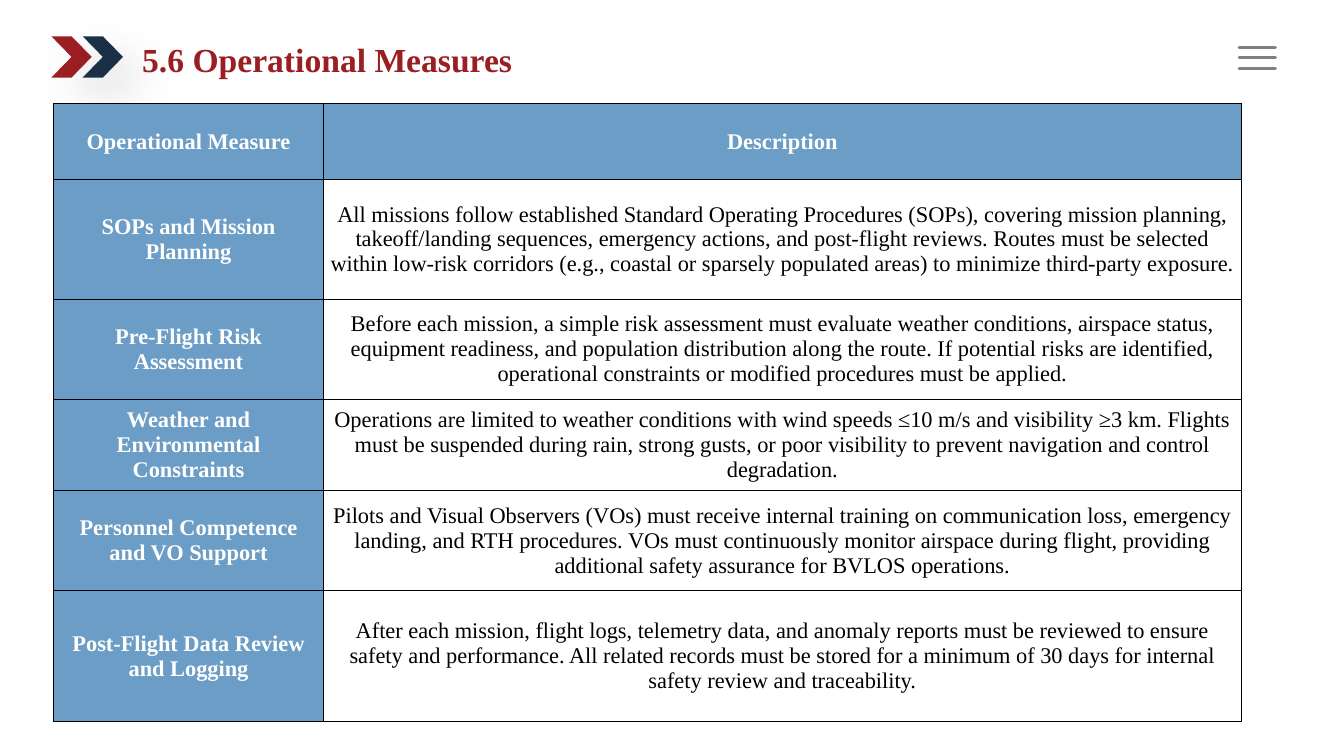
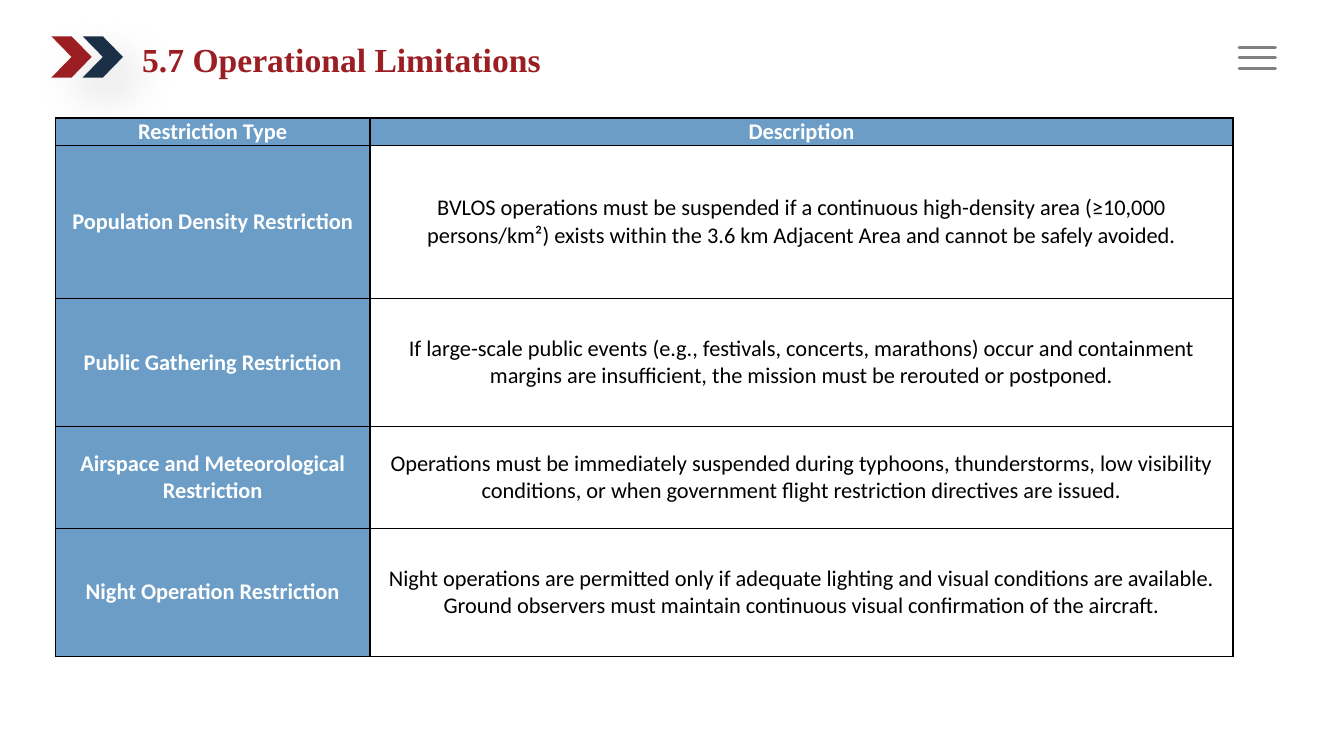
from dataclasses import dataclass

from lxml import etree
from pptx import Presentation
from pptx import util as u
from pptx.dml import color
from pptx.enum import shapes, text
from pptx.oxml import ns


@dataclass(frozen=True)
class Theme:
    red: str = "9B1E23"
    navy: str = "1B2F47"
    gray: str = "808080"
    blue: str = "6B9DC6"
    white: str = "FFFFFF"
    black: str = "000000"
    serif: str = "Times New Roman"
    sans: str = "Calibri"
    title_size: int = 24
    cell_size: int = 16
    border: float = 1
    menu_line: float = 2.25


THEME = Theme()
TITLE_BOX = (1.31, 0.22, 8.14, 0.78)
CHEVRONS = [(0.51, THEME.red), (0.82, THEME.navy)]
MENU_LEFT, MENU_RIGHT = 12.29, 12.65
MENU_ROWS = [0.47, 0.57, 0.68]

PAGES = [
    {
        "title": "5.6 Operational Measures",
        "font": THEME.serif,
        "corner": (0.53, 1.03),
        "inset": 0.06,
        "columns": [2.68, 9.1],
        "heights": [0.75, 1.19, 0.99, 0.91, 0.99, 1.3],
        "rows": [
            ("Operational Measure", "Description"),
            ("SOPs and Mission Planning",
             "All missions follow established Standard Operating Procedures (SOPs), covering mission "
             "planning, takeoff/landing sequences, emergency actions, and post-flight reviews. Routes "
             "must be selected within low-risk corridors (e.g., coastal or sparsely populated areas) "
             "to minimize third-party exposure."),
            ("Pre-Flight Risk Assessment",
             "Before each mission, a simple risk assessment must evaluate weather conditions, airspace "
             "status, equipment readiness, and population distribution along the route. If potential "
             "risks are identified, operational constraints or modified procedures must be applied."),
            ("Weather and Environmental Constraints",
             "Operations are limited to weather conditions with wind speeds ≤10 m/s and visibility "
             "≥3 km. Flights must be suspended during rain, strong gusts, or poor visibility to "
             "prevent navigation and control degradation."),
            ("Personnel Competence and VO Support",
             "Pilots and Visual Observers (VOs) must receive internal training on communication loss, "
             "emergency landing, and RTH procedures. VOs must continuously monitor airspace during "
             "flight, providing additional safety assurance for BVLOS operations."),
            ("Post-Flight Data Review and Logging",
             "After each mission, flight logs, telemetry data, and anomaly reports must be reviewed to "
             "ensure safety and performance. All related records must be stored for a minimum of 30 "
             "days for internal safety review and traceability."),
        ],
    },
    {
        "title": "5.7 Operational Limitations",
        "font": THEME.sans,
        "corner": (0.55, 1.17),
        "inset": 0.07,
        "columns": [3.12, 8.56],
        "heights": [0.25, 1.52, 1.27, 1.01, 1.27],
        "rows": [
            ("Restriction Type", "Description"),
            ("Population Density Restriction",
             "BVLOS operations must be suspended if a continuous high-density area (≥10,000 "
             "persons/km²) exists within the 3.6 km Adjacent Area and cannot be safely avoided."),
            ("Public Gathering Restriction",
             "If large-scale public events (e.g., festivals, concerts, marathons) occur and "
             "containment margins are insufficient, the mission must be rerouted or postponed."),
            ("Airspace and Meteorological Restriction",
             "Operations must be immediately suspended during typhoons, thunderstorms, low visibility "
             "conditions, or when government flight restriction directives are issued."),
            ("Night Operation Restriction",
             "Night operations are permitted only if adequate lighting and visual conditions are "
             "available. Ground observers must maintain continuous visual confirmation of the "
             "aircraft."),
        ],
    },
]


def rgb(value):
    return color.RGBColor.from_string(value)


def apply(target, **values):
    for name, value in values.items():
        setattr(target, name, value)


def add_xml(parent, tag, **attributes):
    return etree.SubElement(parent, ns.qn(tag), attributes)


def add_color(parent, value):
    return add_xml(parent, "a:srgbClr", val=value)


def format_font(font, size, name, fill, bold):
    apply(font, size=u.Pt(size), name=name, bold=bold)
    font.color.rgb = rgb(fill)


def add_shadow(shape):
    shape.shadow.inherit = False
    effects = shape.element.spPr.find(ns.qn("a:effectLst"))
    shadow = add_xml(effects, "a:outerShdw", blurRad=str(u.Pt(32)), dist=str(u.Pt(19)),
                     dir=str(45 * 60000), algn="tl", rotWithShape="0")
    add_xml(add_color(shadow, THEME.black), "a:alpha", val="14000")


def add_chevron(page, left, fill):
    chevron = page.shapes.add_shape(shapes.MSO_SHAPE.CHEVRON, u.Inches(left), u.Inches(0.36),
                                    u.Inches(0.4), u.Inches(0.41))
    chevron.fill.solid()
    chevron.fill.fore_color.rgb = rgb(fill)
    chevron.line.fill.background()
    add_shadow(chevron)
    return chevron


def add_menu_line(page, top):
    bar = page.shapes.add_connector(shapes.MSO_CONNECTOR.STRAIGHT, u.Inches(MENU_LEFT),
                                    u.Inches(top), u.Inches(MENU_RIGHT), u.Inches(top))
    bar.line.color.rgb = rgb(THEME.gray)
    bar.line.width = u.Pt(THEME.menu_line)
    properties = bar.element.spPr
    properties.find(ns.qn("a:ln")).set("cap", "rnd")
    add_xml(properties, "a:effectLst")
    return bar


def decorate_layout(layout, page):
    for holder in list(layout.placeholders):
        if holder.placeholder_format.type != shapes.PP_PLACEHOLDER.TITLE:
            layout.shapes.element.remove(holder.element)
    marks = [add_chevron(page, left, fill) for left, fill in CHEVRONS]
    marks += [add_menu_line(page, top) for top in MENU_ROWS]
    for mark in marks:
        layout.shapes.element.append(mark.element)


def set_title(page, words):
    title = page.shapes.title
    apply(title, **dict(zip(("left", "top", "width", "height"), map(u.Inches, TITLE_BOX))))
    apply(title.text_frame, text=words, word_wrap=True, vertical_anchor=text.MSO_ANCHOR.MIDDLE,
          auto_size=text.MSO_AUTO_SIZE.NONE)
    para = title.text_frame.paragraphs[0]
    apply(para, alignment=text.PP_ALIGN.LEFT, line_spacing=0.9)
    format_font(para.runs[0].font, THEME.title_size, THEME.serif, THEME.red, True)


def add_borders(cell):
    properties = cell._tc.get_or_add_tcPr()
    for index, side in enumerate(("a:lnL", "a:lnR", "a:lnT", "a:lnB")):
        border = add_xml(properties, side, w=str(u.Pt(THEME.border)))
        add_color(add_xml(border, "a:solidFill"), THEME.black)
        properties.insert(index, border)


def fill_cell(cell, words, is_heading, font, inset):
    apply(cell, text=words, vertical_anchor=text.MSO_ANCHOR.MIDDLE, margin_left=u.Inches(inset),
          margin_right=u.Inches(inset), margin_top=0, margin_bottom=0)
    cell.fill.solid()
    cell.fill.fore_color.rgb = rgb(THEME.blue if is_heading else THEME.white)
    para = cell.text_frame.paragraphs[0]
    para.alignment = text.PP_ALIGN.CENTER
    format_font(para.runs[0].font, THEME.cell_size, font,
                THEME.white if is_heading else THEME.black, is_heading)
    add_borders(cell)


def add_grid(page, content):
    columns, heights, rows = content["columns"], content["heights"], content["rows"]
    left, top = content["corner"]
    table = page.shapes.add_table(len(rows), len(columns), u.Inches(left), u.Inches(top),
                                  u.Inches(sum(columns)), u.Inches(sum(heights))).table
    table.horz_banding = False
    for column, width in zip(table.columns, columns):
        column.width = u.Inches(width)
    for row, height in zip(table.rows, heights):
        row.height = u.Inches(height)
    for r, row in enumerate(rows):
        for c, words in enumerate(row):
            fill_cell(table.cell(r, c), words, r == 0 or c == 0, content["font"], content["inset"])


def main():
    deck = Presentation()
    apply(deck, slide_width=u.Inches(13.33), slide_height=u.Inches(7.5))
    layout = deck.slide_layouts.get_by_name("Title Only")
    for number, content in enumerate(PAGES):
        page = deck.slides.add_slide(layout)
        if number == 0:
            decorate_layout(layout, page)
        set_title(page, content["title"])
        add_grid(page, content)
    deck.save("out.pptx")


if __name__ == "__main__":
    main()
